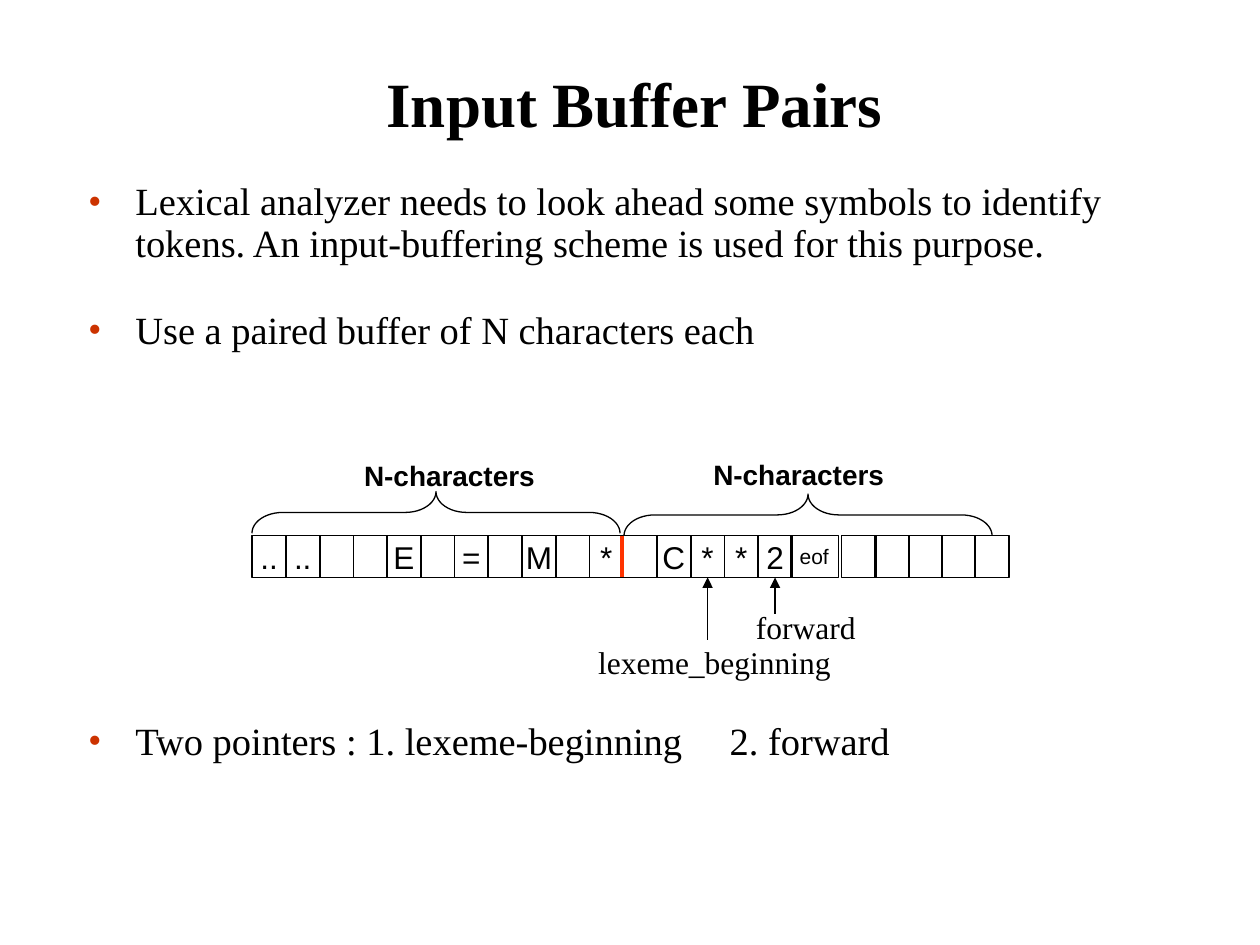
import pptx
import pptx.util
import pptx.dml.color
import pptx.enum.shapes
import pptx.enum.text
import pptx.oxml
import pptx.oxml.ns
from pptx.util import Cm

COLORS = {"ink": "000000", "bullet": "CC3300", "divider": "FF3300"}
SERIF, SANS = "Times New Roman", "Arial"
ALIGN = pptx.enum.text.PP_ALIGN
SHAPES = pptx.enum.shapes.MSO_SHAPE
MIDDLE = pptx.enum.text.MSO_ANCHOR.MIDDLE


def rgb(name):
    return pptx.dml.color.RGBColor.from_string(COLORS[name])


def add_xml(parent, tag, inner="", **attrs):
    values = "".join(f' {key}="{value}"' for key, value in attrs.items())
    ns = pptx.oxml.ns.nsdecls("a")
    parent.append(pptx.oxml.parse_xml(f"<a:{tag} {ns}{values}>{inner}</a:{tag}>"))


class BufferSlide:
    def __init__(self, prs):
        self.s = prs.slides.add_slide(prs.slide_layouts[6])

    def style(self, p, size, font, bold=False, align=ALIGN.LEFT):
        p.alignment = align
        p.font.size = pptx.util.Pt(size)
        p.font.name = font
        p.font.bold = bold
        p.font.color.rgb = rgb("ink")

    def outline(self, sp):
        sp.shadow.inherit = False
        sp.fill.background()
        sp.line.color.rgb = rgb("ink")
        sp.line.width = pptx.util.Pt(0.75)

    def title(self, x, y, w, h, text):
        sp = self.s.shapes.add_textbox(Cm(x), Cm(y), Cm(w), Cm(h))
        tf = sp.text_frame
        tf.word_wrap = True
        tf.vertical_anchor = MIDDLE
        p = tf.paragraphs[0]
        p.text = text
        self.style(p, 36, SERIF, True, ALIGN.CENTER)

    def label(self, x, y, w, h, text, size, font, bold=False):
        sp = self.s.shapes.add_textbox(Cm(x), Cm(y), Cm(w), Cm(h))
        tf = sp.text_frame
        tf.word_wrap = False
        tf.auto_size = pptx.enum.text.MSO_AUTO_SIZE.SHAPE_TO_FIT_TEXT
        p = tf.paragraphs[0]
        p.text = text
        self.style(p, size, font, bold)

    def bullets(self, x, y, w, h, items, tab):
        sp = self.s.shapes.add_textbox(Cm(x), Cm(y), Cm(w), Cm(h))
        tf = sp.text_frame
        tf.word_wrap = True
        for i, (text, gap) in enumerate(items):
            p = tf.add_paragraph() if i else tf.paragraphs[0]
            p.text = text
            p.line_spacing = 0.9
            if gap:
                p.space_before = pptx.util.Pt(gap)
            pPr = p._p.get_or_add_pPr()
            pPr.set("marL", str(Cm(0.95)))
            pPr.set("indent", str(-Cm(0.95)))
            add_xml(pPr, "buClr", f'<a:srgbClr val="{COLORS["bullet"]}"/>')
            add_xml(pPr, "buFont", typeface=SERIF)
            add_xml(pPr, "buChar", char="•")
            if "\t" in text:
                add_xml(pPr, "tabLst", f'<a:tab pos="{Cm(tab)}" algn="l"/>')
            self.style(p, 22, SERIF)

    def cell(self, x, y, w, h, text, size=18):
        sp = self.s.shapes.add_shape(SHAPES.RECTANGLE, Cm(x), Cm(y), Cm(w), Cm(h))
        self.outline(sp)
        if text:
            tf = sp.text_frame
            tf.word_wrap = False
            tf.vertical_anchor = MIDDLE
            p = tf.paragraphs[0]
            p.text = text
            self.style(p, size, SANS, align=ALIGN.CENTER)
        return sp

    def brace(self, x, y, span, depth):
        left, top = x + (span - depth) / 2, y - (span - depth) / 2
        sp = self.s.shapes.add_shape(SHAPES.RIGHT_BRACE, Cm(left), Cm(top),
                                     Cm(depth), Cm(span))
        sp.rotation = 270
        sp.adjustments[0] = 0.74
        self.outline(sp)

    def line(self, x1, y1, x2, y2, color="ink", width=0.75):
        c = self.s.shapes.add_connector(
            pptx.enum.shapes.MSO_CONNECTOR.STRAIGHT, x1, y1, x2, y2)
        c.line.color.rgb = rgb(color)
        c.line.width = pptx.util.Pt(width)
        add_xml(c._element.spPr, "effectLst")
        return c

    def pointer(self, cell, length):
        x, y = cell.left + cell.width // 2, cell.top + cell.height
        c = self.line(x, y, x, y + Cm(length))
        c.begin_connect(cell, 2)
        add_xml(c.line._get_or_add_ln(), "headEnd", type="triangle")


def main():
    prs = pptx.Presentation()
    prs.slide_width, prs.slide_height = Cm(25.4), Cm(19.05)
    slide = BufferSlide(prs)

    slide.bullets(1.53, 3.56, 22.86, 15.4, [
        ("Lexical analyzer needs to look ahead some symbols to identify tokens. "
         "An input-buffering scheme is used for this purpose.", 0),
        ("Use a paired buffer of N characters each", 26),
        ("Two pointers : 1. lexeme-beginning\t2. forward", 211),
    ], tab=12.93)
    slide.title(0.85, 1.17, 23.88, 1.78, "Input Buffer Pairs")

    left, top, width, height, pitch = 5.08, 10.8, 0.69, 0.84, 0.68
    symbols = ["..", "..", "", "", "E", "", "=", "", "M", "", "*",
               "", "C", "*", "*", "2"]
    cells = [slide.cell(left + i * pitch, top, width, height, symbol)
             for i, symbol in enumerate(symbols)]
    slide.cell(15.93, top, 0.97, height, "eof", 12)
    for i in range(5):
        slide.cell(16.97 + i * 0.67, top, width, height, "")
    slide.line(Cm(12.53), Cm(top), Cm(12.53), Cm(top + height), "divider", 2.25)

    for x, y in ((5.08, 9.91), (12.58, 9.96)):
        slide.brace(x, y, 7.42, 0.84)
    for x, y in ((7.09, 9.12), (14.13, 9.09)):
        slide.label(x, y, 4.1, 0.94, "N-characters", 16, SANS, True)

    lexeme_cell, forward_cell = cells[13], cells[15]
    slide.pointer(lexeme_cell, 1.27)
    slide.pointer(forward_cell, 0.74)
    slide.label(14.99, 12.13, 2.6, 1.02, "forward", 18, SERIF)
    slide.label(11.81, 12.83, 5.4, 1.02, "lexeme_beginning", 18, SERIF)

    prs.save("out.pptx")


if __name__ == "__main__":
    main()
